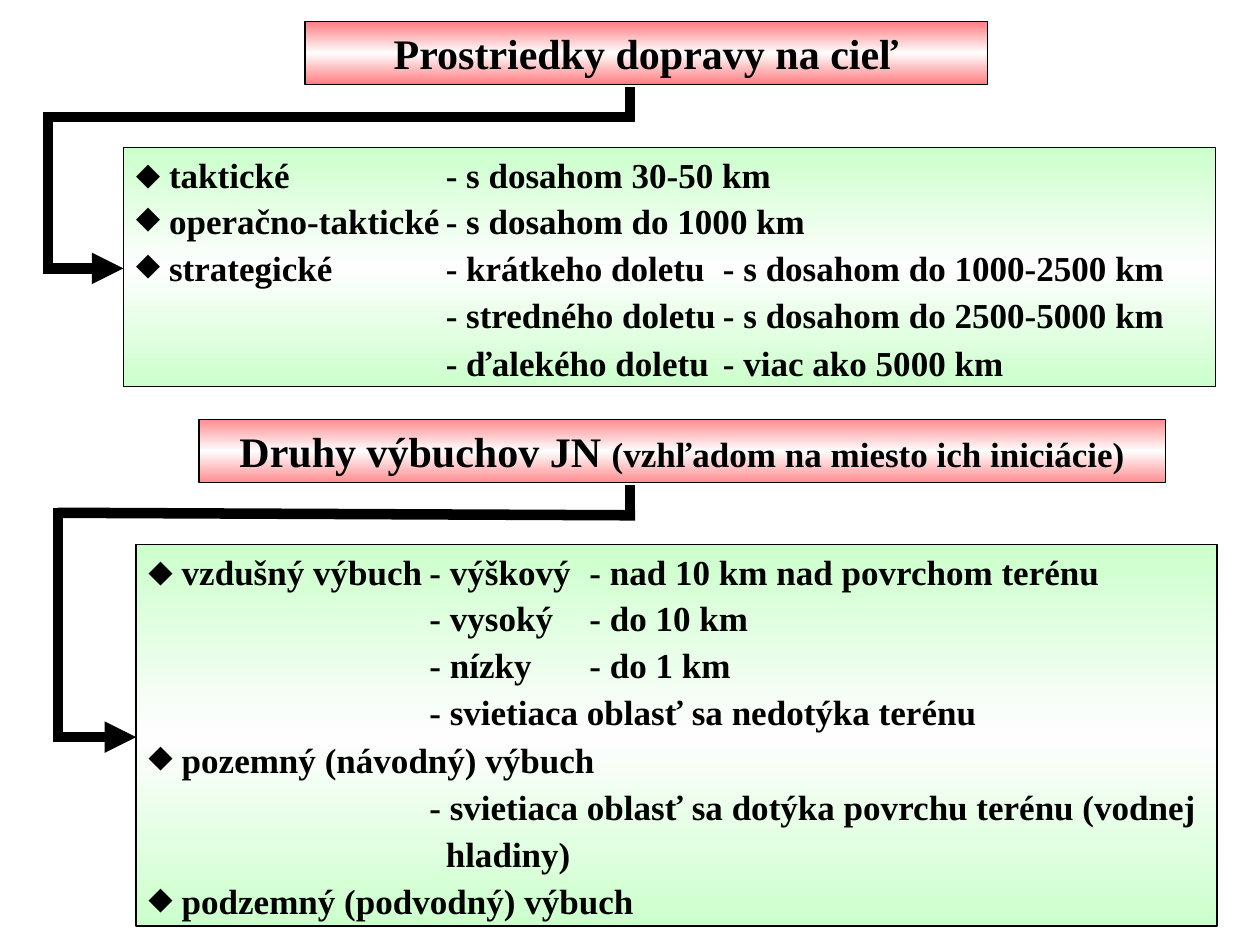
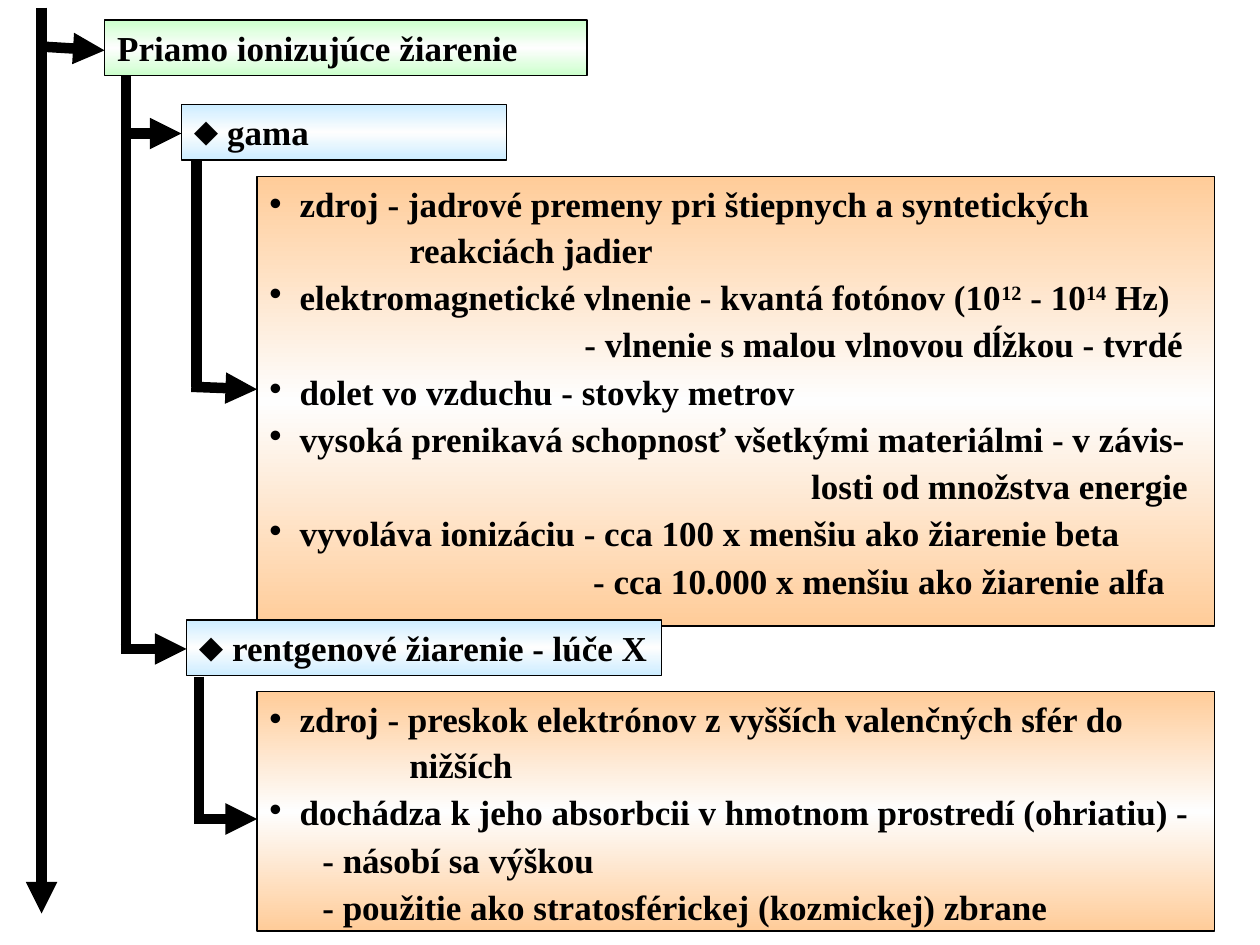
from copy import deepcopy
from dataclasses import dataclass
from itertools import pairwise

from lxml.etree import SubElement as Sub
from pptx import Presentation
from pptx.dml.color import RGBColor as Rgb
from pptx.enum.shapes import MSO_CONNECTOR as Link, MSO_SHAPE as Kind
from pptx.enum.text import MSO_ANCHOR as Anchor, MSO_AUTO_SIZE as Fit, PP_ALIGN as Align
from pptx.oxml.ns import qn
from pptx.util import Inches, Pt


@dataclass(frozen=True)
class Theme:
    red: str = "FF7C80"
    rose: str = "FF8D90"
    green: str = "CCFFCC"
    blue: str = "CCECFF"
    peach: str = "FFCC99"
    mid: str = "FEFEFE"
    ink: str = "000000"
    font: str = "Times New Roman"
    sign: str = "Arial"
    head: int = 24
    body: int = 20
    edge: float = 0.75
    pipe: int = 6


T = Theme()
GEM, DOT = "⬥", "•"
HANG = {GEM: 0, DOT: 0.24}  # hanging indent of each bullet, inches

# Content. A row is (lead, text): the lead is a bullet or an indent in inches.
# In a text, ^ wraps a superscript and | starts a smaller part.
REACH = [
    (GEM, " taktické\t- s dosahom 30-50 km"),
    (GEM, " operačno-taktické\t- s dosahom do 1000 km"),
    (GEM, " strategické\t- krátkeho doletu\t- s dosahom do 1000-2500 km"),
    (0, "\t- stredného doletu\t- s dosahom do 2500-5000 km"),
    (0, "\t- ďalekého doletu\t- viac ako 5000 km"),
]
BLAST = [
    (GEM, " vzdušný výbuch\t- výškový\t- nad 10 km nad povrchom terénu"),
    (0, "\t- vysoký\t- do 10 km"),
    (0, "\t- nízky\t- do 1 km"),
    (0, "\t- svietiaca oblasť sa nedotýka terénu"),
    (GEM, " pozemný (návodný) výbuch"),
    (0, "\t- svietiaca oblasť sa dotýka povrchu terénu (vodnej"),
    (2.36, "hladiny)"),
    (GEM, " podzemný (podvodný) výbuch"),
]
GAMMA = [
    (DOT, "zdroj - jadrové premeny pri štiepnych a syntetických"),
    (1.11, "reakciách jadier"),
    (DOT, "elektromagnetické vlnenie - kvantá fotónov (10^12^ - 10^14^ Hz)"),
    (2.5, "- vlnenie s malou vlnovou dĺžkou - tvrdé"),
    (DOT, "dolet vo vzduchu - stovky metrov"),
    (DOT, "vysoká prenikavá schopnosť všetkými materiálmi - v závis-"),
    (4.3, "losti od množstva energie"),
    (DOT, "vyvoláva ionizáciu - cca 100 x menšiu ako žiarenie beta"),
    (2.57, "- cca 10.000 x menšiu ako žiarenie alfa"),
]
XRAY = [
    (DOT, "zdroj - preskok elektrónov z vyšších valenčných sfér do"),
    (1.11, "nižších"),
    (DOT, "dochádza k jeho absorbcii v hmotnom prostredí (ohriatiu) -"),
    (0.42, "- násobí sa výškou"),
    (0.42, "- použitie ako stratosférickej (kozmickej) zbrane"),
]

# Boxes: place, colour, rows, then options; the first box is the title.
# Pipes: corner points, each path ending in an arrowhead.
MID = {"size": T.head, "align": Align.CENTER}
SLIDES = [
    {
        "boxes": [
            ((2.42, 0.17, 5.42, 0.5), T.red, [(0, "Prostriedky dopravy na cieľ")], MID),
            ((0.98, 1.17, 8.67, 1.9), T.green, REACH, {"tabs": (2.46, 4.66)}),
            ((1.58, 3.33, 7.67, 0.5), T.rose,
             [(0, "Druhy výbuchov JN |(vzhľadom na miesto ich iniciácie)")], MID),
            ((1.08, 4.32, 8.58, 3.03), T.green, BLAST, {"tabs": (2.23, 3.5)}),
        ],
        "pipes": [
            [(5, 0.69), (5, 0.93), (0.38, 0.93), (0.38, 2.13), (0.98, 2.13)],
            [(5, 3.85), (5, 4.09), (0.46, 4.07), (0.46, 5.85), (1.08, 5.85)],
        ],
    },
    {
        "boxes": [
            ((0.83, 0.16, 3.83, 0.44), T.green, [(0, "Priamo ionizujúce žiarenie")], {}),
            ((1.44, 0.83, 2.58, 0.44), T.blue, [(GEM, " gama")], {}),
            ((2.04, 1.4, 7.6, 3.57), T.peach, GAMMA, {}),
            ((1.48, 4.92, 3.77, 0.44), T.blue, [(GEM, " rentgenové žiarenie - lúče X")], {}),
            ((2.04, 5.49, 7.6, 1.9), T.peach, XRAY, {}),
        ],
        "pipes": [
            [(0.33, 0.06), (0.33, 7.25)],
            [(0.33, 0.37), (0.83, 0.4)],
            [(1, 0.6), (1, 5.15), (1.48, 5.15)],
            [(1, 1.06), (1.44, 1.06)],
            [(1.56, 1.28), (1.56, 3.07), (2.04, 3.09)],
            [(1.58, 5.37), (1.58, 6.5), (2.04, 6.5)],
        ],
    },
]


def set_lead(para, lead, tabs):
    """Give a paragraph its bullet or indent, and its tab stops."""
    props = para._p.get_or_add_pPr()
    inset = HANG.get(lead, lead)
    if lead:
        props.set("marL", str(Inches(inset)))
    if lead in HANG:
        props.set("indent", str(-Inches(inset)))
        Sub(props, qn("a:buFont"), typeface=T.sign)
        Sub(props, qn("a:buChar"), char=lead)
    if tabs:
        stops = Sub(props, qn("a:tabLst"))
        for stop in tabs:
            Sub(stops, qn("a:tab"), pos=str(Inches(stop)), algn="l")


def add_runs(para, text, size):
    for part, chunk in enumerate(text.split("|")):
        for step, piece in enumerate(chunk.split("^")):
            run = para.add_run()
            run.text = piece
            font = run.font
            font.name, font.bold = T.font, True
            font.size = Pt(T.body if part else size)
            font.color.rgb = Rgb.from_string(T.ink)
            if step % 2:
                font._element.set("baseline", "30000")


def paint(shape, tone):
    """Fill with a band that is light in the middle, and draw a thin edge."""
    fill = shape.fill
    fill.gradient()
    fill.gradient_angle = 90
    stops = shape._element.spPr.find(".//" + qn("a:gsLst"))
    stops.insert(1, deepcopy(stops[0]))
    for stop, spot, hue in zip(fill.gradient_stops, (0, 0.5, 1), (tone, T.mid, tone)):
        stop.position = spot
        stop.color.rgb = Rgb.from_string(hue)
    shape.line.color.rgb = Rgb.from_string(T.ink)
    shape.line.width = Pt(T.edge)


def fill_box(shape, place, tone, rows, size=T.body, align=Align.LEFT, tabs=()):
    shape.left, shape.top, shape.width, shape.height = map(Inches, place)
    paint(shape, tone)
    frame = shape.text_frame
    frame.word_wrap, frame.auto_size = True, Fit.NONE
    frame.vertical_anchor = Anchor.TOP
    frame.margin_left = frame.margin_right = Inches(0.1)
    frame.margin_top = frame.margin_bottom = Inches(0.05)
    for num, (lead, text) in enumerate(rows):
        para = frame.add_paragraph() if num else frame.paragraphs[0]
        set_lead(para, lead, tabs)
        para.alignment = align
        if num:
            para.line_spacing = 0.5
            para.space_before, para.space_after = Pt(12.5), Pt(2.5)
        add_runs(para, text, size)


def add_pipe(slide, points):
    """Draw a path of thick lines; each turn overlaps by half a line width."""
    half = T.pipe / 72 / 2
    for num, ((x1, y1), (x2, y2)) in enumerate(pairwise(points)):
        if num and abs(x2 - x1) > abs(y2 - y1):
            x1 -= half if x2 > x1 else -half
        elif num:
            y1 -= half if y2 > y1 else -half
        ends = map(Inches, (x1, y1, x2, y2))
        link = slide.shapes.add_connector(Link.STRAIGHT, *ends)
        link.line.color.rgb = Rgb.from_string(T.ink)
        link.line.width = Pt(T.pipe)
        if num == len(points) - 2:
            Sub(link.line._get_or_add_ln(), qn("a:tailEnd"), type="triangle")
        Sub(link._element.spPr, qn("a:effectLst"))


def main():
    deck = Presentation()
    deck.slide_width, deck.slide_height = Inches(10), Inches(7.5)
    for page in SLIDES:
        slide = deck.slides.add_slide(deck.slide_layouts[5])
        for num, (place, tone, rows, opts) in enumerate(page["boxes"]):
            if num:
                shape = slide.shapes.add_shape(Kind.RECTANGLE, 0, 0, 0, 0)
                shape.shadow.inherit = False
            else:
                shape = slide.shapes.title
            fill_box(shape, place, tone, rows, **opts)
        for points in page["pipes"]:
            add_pipe(slide, points)
    deck.save("out.pptx")


if __name__ == "__main__":
    main()
